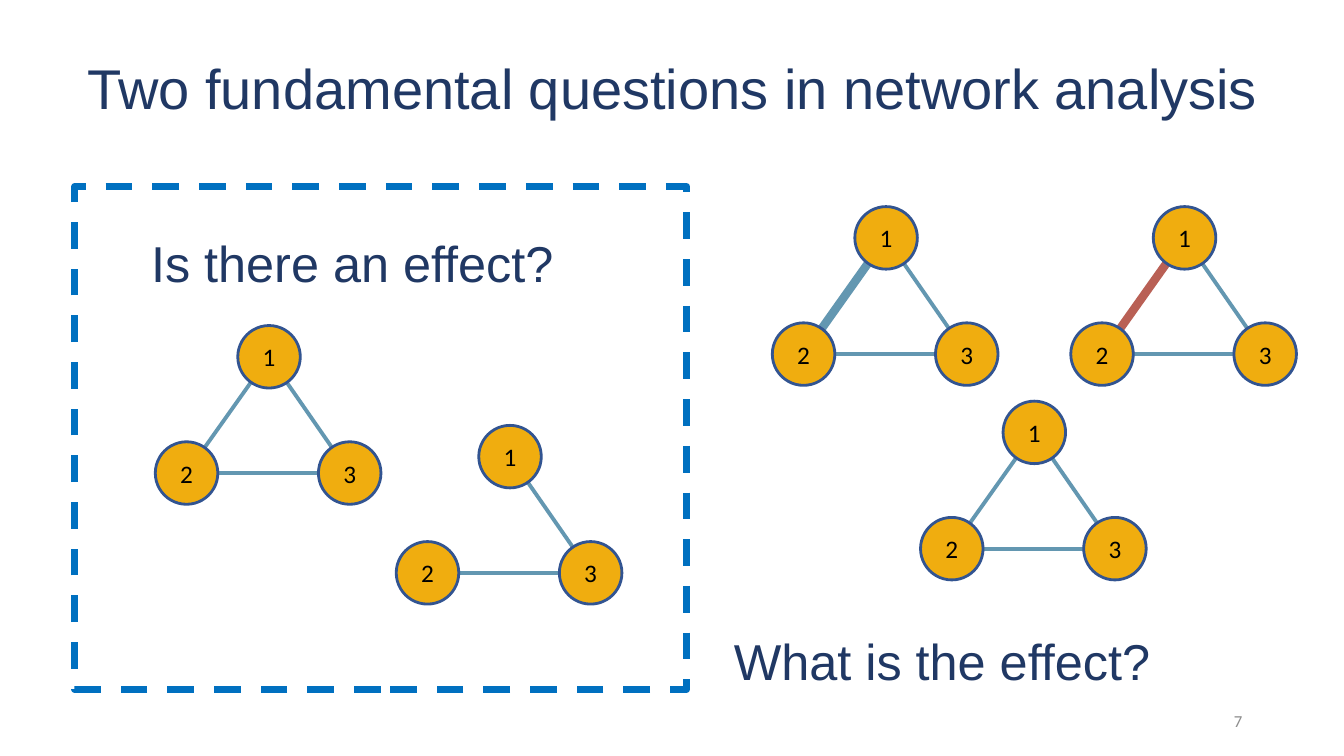
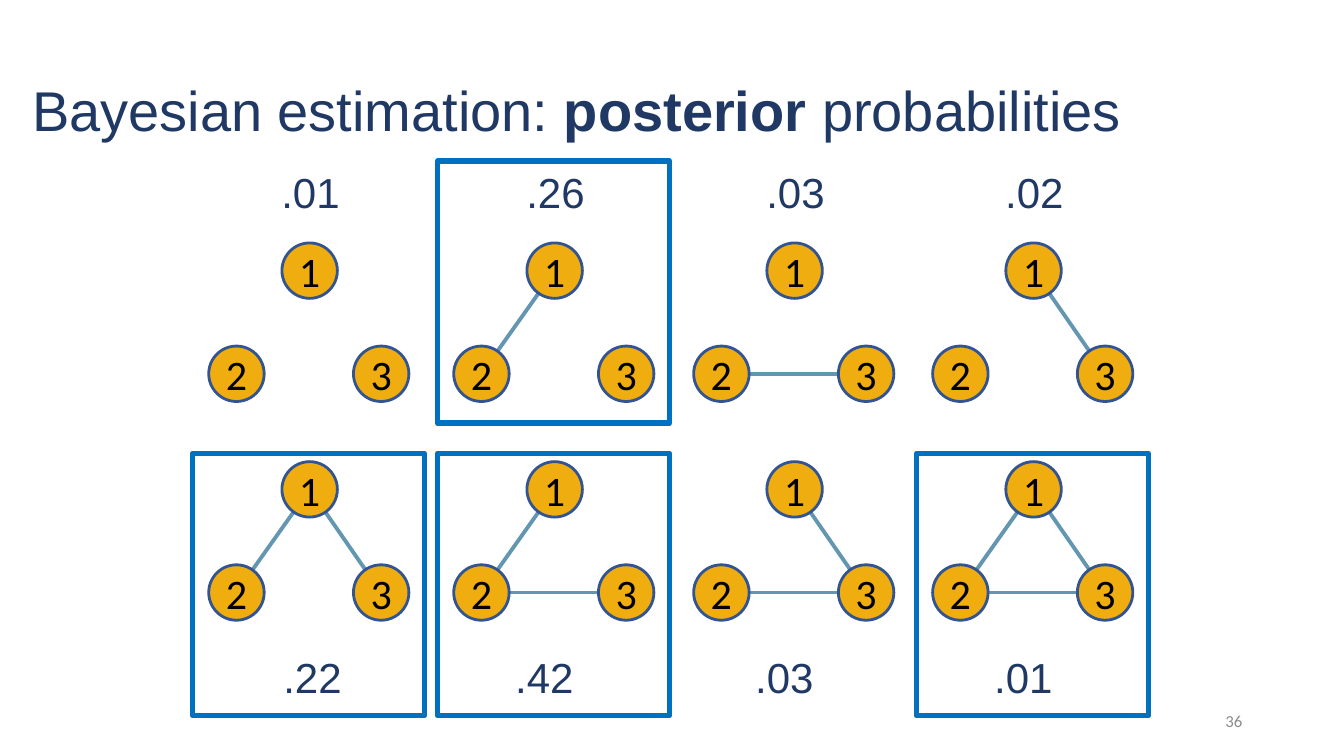
from dataclasses import dataclass

from lxml.etree import SubElement
from pptx import Presentation
from pptx.dml.color import RGBColor
from pptx.enum.dml import MSO_LINE
from pptx.enum.shapes import MSO_CONNECTOR, MSO_SHAPE
from pptx.enum.text import MSO_ANCHOR as Anchor, PP_ALIGN as Align
from pptx.oxml.ns import qn
from pptx.util import Inches, Pt


@dataclass(frozen=True)
class Theme:
    heading_font: str = "Arial"
    body_font: str = "Calibri"
    navy: str = "203864"
    frame: str = "0070C0"
    edge: str = "6397B1"
    negative: str = "B96055"
    node: str = "F0AD0F"
    node_line: str = "325491"
    black: str = "000000"
    grey: str = "8C8C8C"
    title: int = 40
    question: int = 36
    value: int = 30
    node_small: int = 18
    number: int = 12
    edge_width: float = 2.75
    strong_width: float = 6


@dataclass(frozen=True)
class Box:
    x: float
    y: float
    w: float
    h: float

    def at(self, dx, dy, w, h):
        """A box offset from this one's top left corner."""
        return Box(self.x + dx, self.y + dy, w, h)

    def emu(self):
        return [Inches(v) for v in (self.x, self.y, self.w, self.h)]


T = Theme()
PAGE = Box(0, 0, 13.33, 7.5)

# Node centres, in node diameters from the network's top left corner
CENTRES = {"1": (1.82, 0.5), "2": (0.5, 2.36), "3": (3.11, 2.36)}


def rgb(colour):
    return RGBColor.from_string(colour)


def add_run(p, text, size, colour, font, bold=False):
    r = p.add_run()
    r.text = text
    r.font.size, r.font.name, r.font.bold = Pt(size), font, bold
    r.font.color.rgb = rgb(colour)


def add_text(s, box, runs, size, colour=T.navy, font=T.heading_font,
             align=Align.LEFT, anchor=Anchor.TOP, spacing=1.0):
    """Add one paragraph; runs are (text, bold) pairs."""
    tf = s.shapes.add_textbox(*box.emu()).text_frame
    tf.word_wrap, tf.vertical_anchor = True, anchor
    p = tf.paragraphs[0]
    p.alignment, p.line_spacing = align, spacing
    for text, bold in runs:
        add_run(p, text, size, colour, font, bold)


def add_title(s, box, runs, align, anchor):
    add_text(s, box, runs, T.title, align=align, anchor=anchor, spacing=0.9)


def add_slide_number(s, number):
    add_text(s, PAGE.at(9.42, 6.95, 3, 0.4), [(str(number), False)], T.number,
             T.grey, T.body_font, Align.RIGHT, Anchor.MIDDLE)


def add_frame(s, box, width, dash=None):
    sp = s.shapes.add_shape(MSO_SHAPE.RECTANGLE, *box.emu())
    sp.shadow.inherit = False
    sp.fill.background()
    sp.line.color.rgb, sp.line.width = rgb(T.frame), Pt(width)
    if dash:
        sp.line.dash_style = dash


def add_edge(shapes, start, end, colour, width):
    line = shapes.add_connector(MSO_CONNECTOR.STRAIGHT,
                                *(Inches(v) for v in start + end))
    line.line.color.rgb, line.line.width = rgb(colour), Pt(width)
    SubElement(line._element.spPr, qn("a:effectLst"))


def add_node(shapes, box, label, size):
    sp = shapes.add_shape(MSO_SHAPE.OVAL, *box.emu())
    sp.shadow.inherit = False
    sp.fill.solid()
    sp.fill.fore_color.rgb = rgb(T.node)
    sp.line.color.rgb, sp.line.width = rgb(T.node_line), Pt(2)
    tf = sp.text_frame
    tf.margin_left = tf.margin_right = tf.margin_top = tf.margin_bottom = 0
    tf.vertical_anchor = Anchor.MIDDLE
    p = tf.paragraphs[0]
    p.alignment = Align.CENTER
    add_run(p, label, size, T.black, T.body_font)


def add_network(s, box, dx, dy, diameter, size, edges, strong=None):
    """Three nodes joined by edges such as "12 23"; strong colours a thick 12."""
    shapes = s.shapes.add_group_shape().shapes
    centres = {label: (box.x + dx + cx * diameter, box.y + dy + cy * diameter)
               for label, (cx, cy) in CENTRES.items()}
    for edge in edges.split():
        thick = strong and edge == "12"
        add_edge(shapes, centres[edge[0]], centres[edge[1]],
                 strong if thick else T.edge,
                 T.strong_width if thick else T.edge_width)
    for label, (cx, cy) in centres.items():
        node = Box(cx - diameter / 2, cy - diameter / 2, diameter, diameter)
        add_node(shapes, node, label, size)


def add_question(s, box, question, dx, dy, networks):
    add_text(s, box.at(dx, dy, 5.75, 0.57), [(question, False)], T.question,
             spacing=0.9)
    for nx, ny, edges, strong in networks:
        add_network(s, box, nx, ny, 0.62, T.node_small, edges, strong)


def questions_slide(s):
    add_title(s, PAGE.at(0, 0, PAGE.w, 1.26),
              [("Two fundamental questions in network analysis", False)],
              Align.CENTER, Anchor.BOTTOM)
    left = PAGE.at(0.74, 1.85, 6.07, 4.99)
    right = PAGE.at(7.18, 1.85, 6.07, 4.99)
    add_frame(s, left, 4.75, MSO_LINE.DASH)
    add_question(s, left, "Is there an effect?", 0.66, 0.47, [
        (0.8, 1.38, "23 12 13", None),
        (3.19, 2.37, "23 13", None),
    ])
    add_question(s, right, "What is the effect?", 0, 4.42, [
        (0.48, 0.2, "23 12 13", T.edge),
        (3.44, 0.2, "23 12 13", T.negative),
        (1.95, 2.13, "23 12 13", None),
    ])
    add_slide_number(s, 7)


def add_candidate(s, box, network_y, value_x, value_y, value, edges, framed):
    """One candidate network with its posterior probability."""
    if framed:
        add_frame(s, box, 4)
    add_network(s, box, 0.16, network_y, 0.55, T.value, edges)
    add_text(s, box.at(value_x, value_y, 0.8, 0.6), [(value, False)], T.value,
             align=Align.CENTER)


def posterior_slide(s):
    add_title(s, PAGE.at(0.22, 0.4, 12.2, 1.45),
              [("Bayesian estimation: ", False), ("posterior", True),
               (" probabilities", False)], Align.LEFT, Anchor.MIDDLE)
    columns = (1.91, 4.34, 6.72, 9.09)
    rows = [
        # top, network y, value x per column, value y, candidates
        (1.6, 0.81, (0.77,) * 4, 0,
         [(".01", "", False), (".26", "12", True),
          (".03", "23", False), (".02", "13", False)]),
        (4.5, 0.08, (0.79, 0.66, 0.66, 0.66), 1.91,
         [(".22", "12 13", True), (".42", "23 12", True),
          (".03", "23 13", False), (".01", "23 12 13", True)]),
    ]
    for top, network_y, value_xs, value_y, candidates in rows:
        for x, value_x, candidate in zip(columns, value_xs, candidates):
            add_candidate(s, PAGE.at(x, top, 2.3, 2.6), network_y,
                          value_x, value_y, *candidate)
    add_slide_number(s, 36)


def main():
    prs = Presentation()
    prs.slide_width, prs.slide_height = Inches(PAGE.w), Inches(PAGE.h)
    for build in (questions_slide, posterior_slide):
        build(prs.slides.add_slide(prs.slide_layouts[6]))
    prs.save("out.pptx")


if __name__ == "__main__":
    main()
